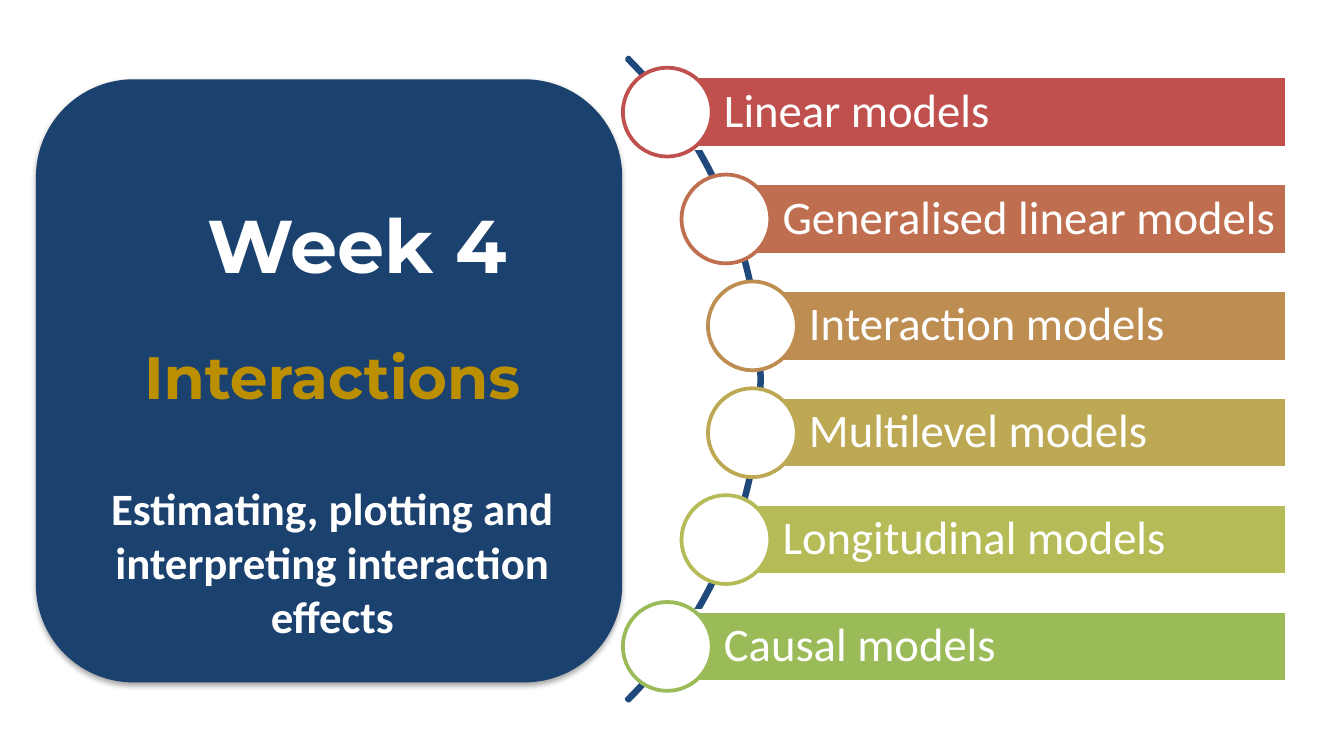
from math import sqrt

from lxml.etree import SubElement
from pptx import Presentation
from pptx.dml.color import RGBColor
from pptx.enum.shapes import MSO_SHAPE
from pptx.enum.text import MSO_ANCHOR, PP_ALIGN
from pptx.oxml.ns import qn
from pptx.util import Cm, Pt

WHITE = RGBColor(0xFF, 0xFF, 0xFF)
PANEL_BLUE = RGBColor(0x1B, 0x41, 0x6F)
ARC_BLUE = RGBColor(0x1F, 0x49, 0x7D)
GOLD = RGBColor(0xBC, 0x8F, 0x00)

TOPICS = [
    ("Linear models", RGBColor(0xC0, 0x50, 0x4D)),
    ("Generalised linear models", RGBColor(0xBF, 0x6F, 0x4F)),
    ("Interaction models", RGBColor(0xBE, 0x8D, 0x52)),
    ("Multilevel models", RGBColor(0xBD, 0xA9, 0x54)),
    ("Longitudinal models", RGBColor(0xB5, 0xBC, 0x57)),
    ("Causal models", RGBColor(0x9B, 0xBB, 0x59)),
]


def add_shadow(effects, blur, distance, degrees, opacity):
    shadow = SubElement(
        effects, qn("a:outerShdw"), blurRad=str(Pt(blur)), dist=str(Pt(distance)),
        dir=str(degrees * 60000), algn="tl", rotWithShape="0")
    color = SubElement(shadow, qn("a:srgbClr"), val="000000")
    SubElement(color, qn("a:alpha"), val=str(opacity * 1000))


def add_shape(shapes, kind, box, fill, line=None):
    shape = shapes.add_shape(kind, *(Cm(length) for length in box))
    shape.shadow.inherit = False
    shape.fill.solid()
    shape.fill.fore_color.rgb = fill
    if line is None:
        shape.line.fill.background()
    else:
        shape.line.color.rgb = line
        shape.line.width = Pt(2)
    return shape


def add_run(paragraph, text, size, color, font_name="Calibri", bold=False):
    run = paragraph.add_run()
    run.text = text
    run.font.size = Pt(size)
    run.font.bold = bold
    run.font.color.rgb = color
    run.font.name = font_name
    return run


def add_heading(slide, box, text, size, color, font_name, alignment):
    text_box = slide.shapes.add_textbox(*(Cm(length) for length in box))
    text_box.text_frame.word_wrap = True
    paragraph = text_box.text_frame.paragraphs[0]
    paragraph.alignment = alignment
    run = add_run(paragraph, text, size, color, font_name, bold=True)
    properties = run.font._element
    effects = properties.makeelement(qn("a:effectLst"), {})
    properties.find(qn("a:solidFill")).addnext(effects)
    add_shadow(effects, 3, 3, 45, 43)


def add_title_panel(slide, left, top, width, height):
    panel = add_shape(slide.shapes, MSO_SHAPE.ROUNDED_RECTANGLE,
                      (left, top, width, height), PANEL_BLUE)
    add_shadow(panel.element.spPr.find(qn("a:effectLst")), 3.1, 1.8, 90, 35)
    headings = [
        ("Week 4", 40, WHITE, "Montserrat", PP_ALIGN.LEFT, 3.0),
        ("Interactions", 32, GOLD, "Montserrat", PP_ALIGN.CENTER, 0.76),
        ("Estimating, plotting and interpreting interaction effects",
         24, WHITE, "Calibri", PP_ALIGN.CENTER, 0.76),
    ]
    for index, (text, size, color, font_name, alignment, indent) in enumerate(headings):
        box = (left + indent, top + 2.13 + index * 2.67, width - indent - 0.64, 2.03)
        add_heading(slide, box, text, size, color, font_name, alignment)


def add_topic(shapes, left, middle, right, text, color):
    bar_height, circle_size = 1.35, 1.68
    bar = add_shape(shapes, MSO_SHAPE.RECTANGLE,
                    (left, middle - bar_height / 2, right - left, bar_height), color, WHITE)
    frame = bar.text_frame
    frame.word_wrap = True
    frame.vertical_anchor = MSO_ANCHOR.MIDDLE
    frame.margin_left = Cm(1.07)
    frame.margin_right = Cm(0.13)
    frame.margin_top = frame.margin_bottom = Cm(0.17)
    paragraph = frame.paragraphs[0]
    paragraph.alignment = PP_ALIGN.LEFT
    paragraph.line_spacing = 0.9
    add_run(paragraph, text, 25, WHITE)
    add_shape(shapes, MSO_SHAPE.OVAL,
              (left - circle_size / 2, middle - circle_size / 2, circle_size, circle_size),
              WHITE, color)


def add_topic_arc(slide, left, top, diameter, right):
    shapes = slide.shapes.add_group_shape().shapes
    arc = add_shape(shapes, MSO_SHAPE.BLOCK_ARC, (left, top, diameter, diameter),
                    ARC_BLUE, ARC_BLUE)
    for index, value in enumerate((189, 27, 0.003)):
        arc.adjustments[index] = value
    center_x, center_y = left + diameter / 2, top + diameter / 2
    radius = diameter / 2 - 0.12
    pitch = 2.02
    for index, (text, color) in enumerate(TOPICS):
        offset = (index - (len(TOPICS) - 1) / 2) * pitch
        topic_left = center_x + sqrt(radius ** 2 - offset ** 2)
        add_topic(shapes, topic_left, center_y + offset, right, text, color)


def main():
    presentation = Presentation()
    presentation.slide_width = Cm(25.4)
    presentation.slide_height = Cm(14.29)
    slide = presentation.slides.add_slide(presentation.slide_layouts[6])
    add_title_panel(slide, 0.68, 1.5, 11.08, 11.4)
    add_topic_arc(slide, -2.8, -1.43, 17.2, 24.33)
    presentation.save("out.pptx")


if __name__ == "__main__":
    main()
